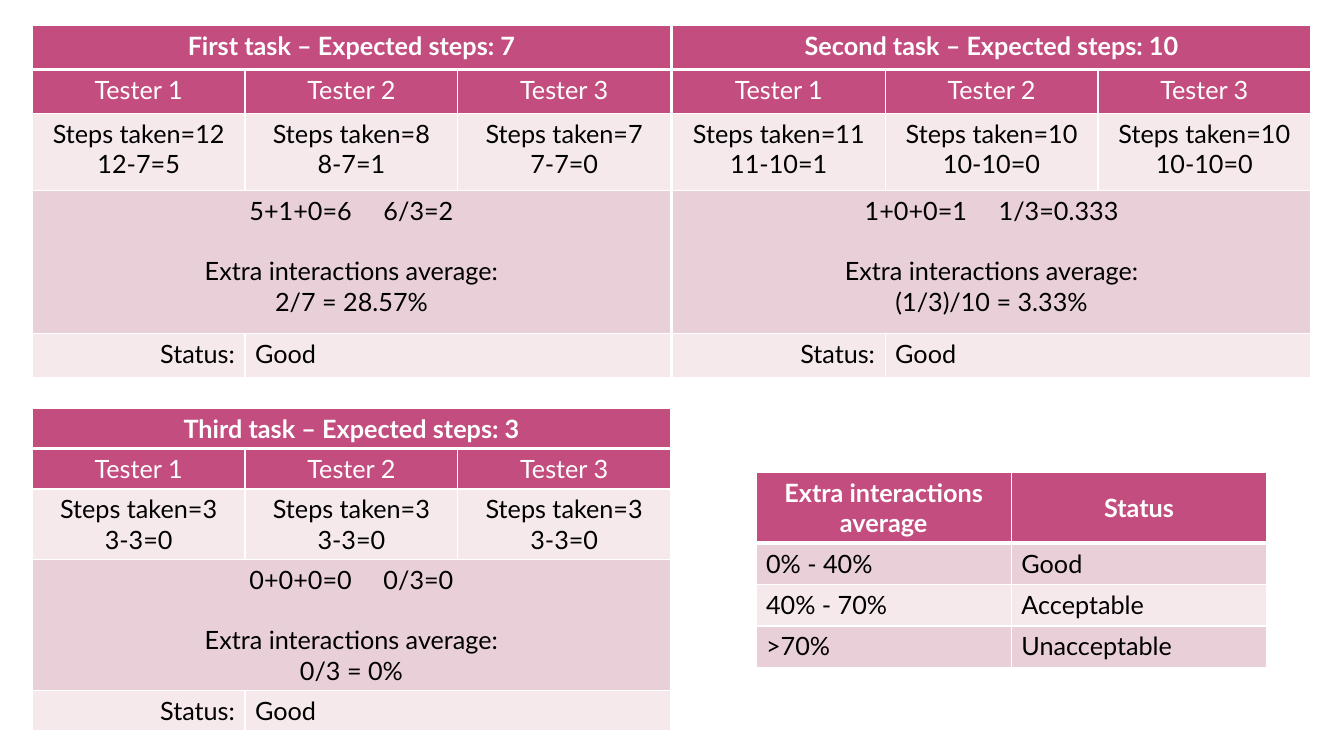
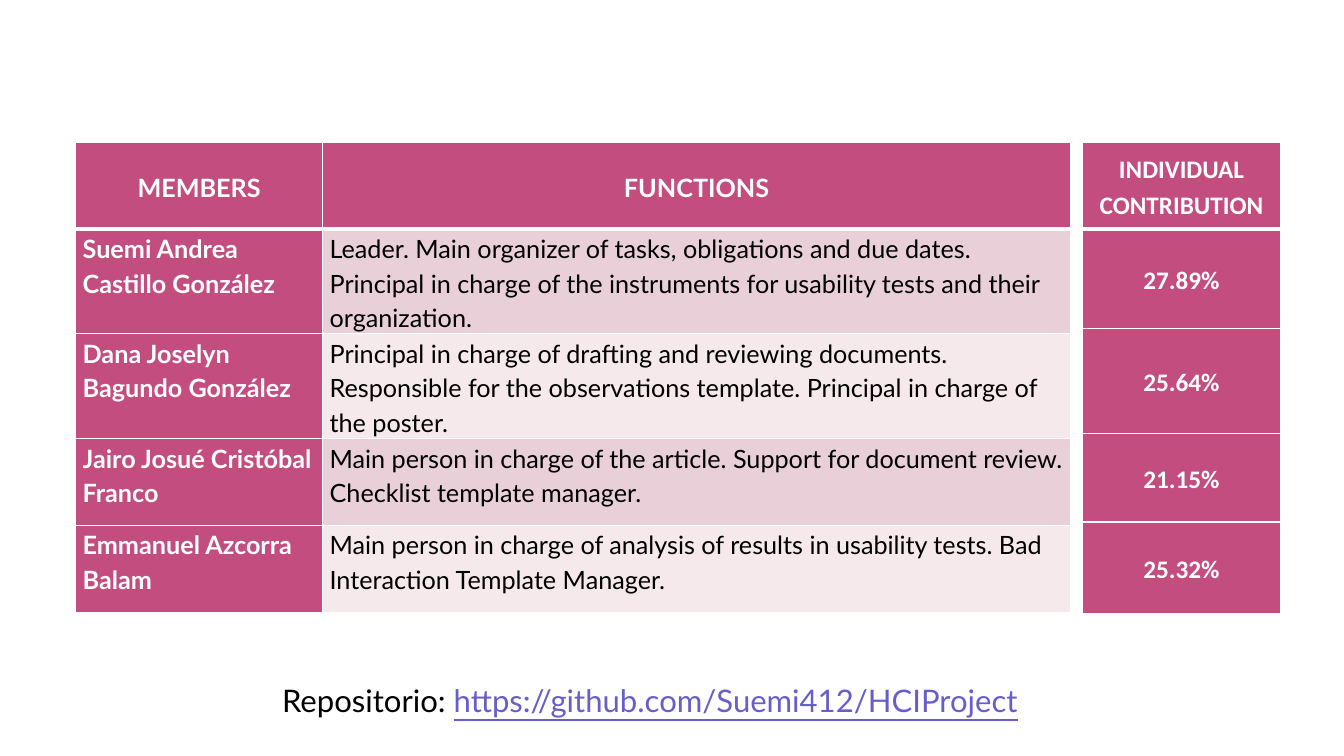
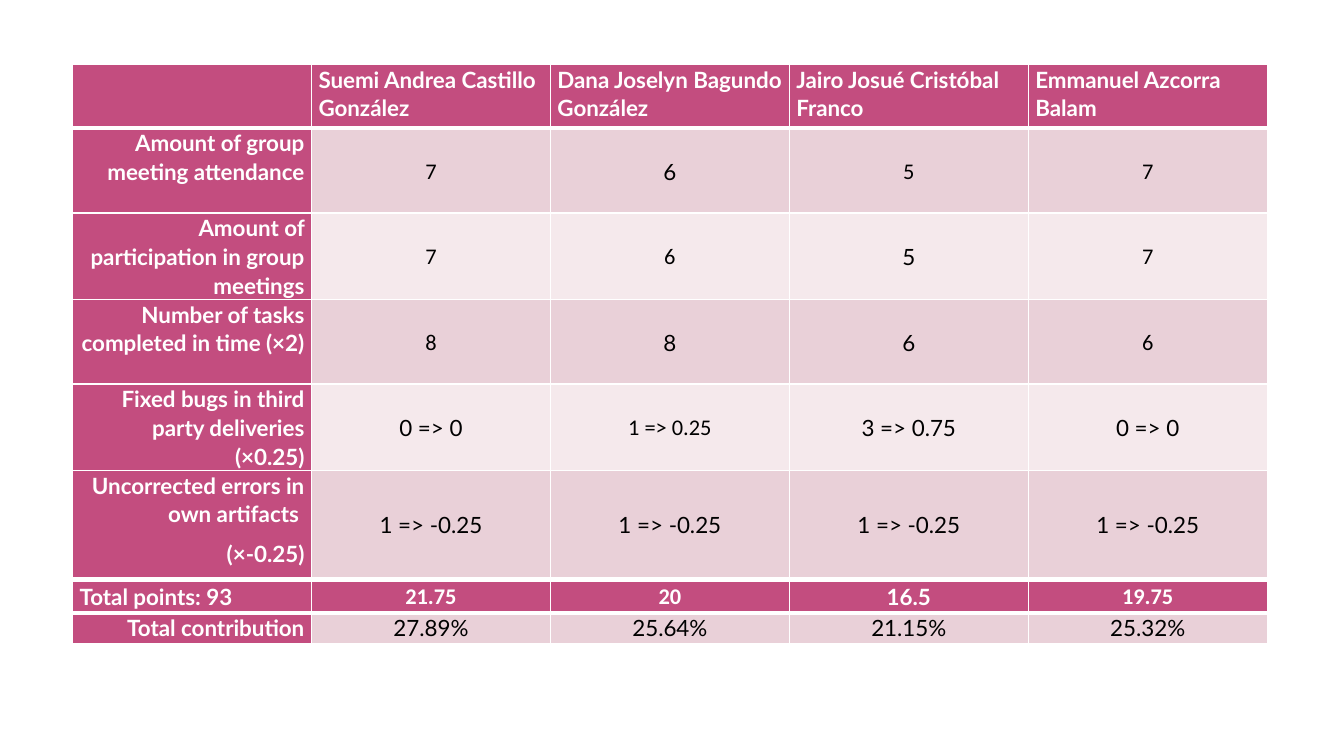
from dataclasses import dataclass

from lxml import etree
from pptx import Presentation
from pptx.dml.color import RGBColor
from pptx.enum.text import MSO_ANCHOR, PP_ALIGN
from pptx.oxml.ns import qn
from pptx.util import Inches, Pt

LEFT, CENTER, RIGHT = PP_ALIGN.LEFT, PP_ALIGN.CENTER, PP_ALIGN.RIGHT
TOP, MIDDLE = MSO_ANCHOR.TOP, MSO_ANCHOR.MIDDLE
BLANK_LAYOUT = 6


@dataclass(frozen=True)
class Theme:
    width: float = 13.33
    height: float = 7.5
    accent: str = "C34D7F"
    dark_band: str = "E9D0D8"
    light_band: str = "F5E9EC"
    white: str = "FFFFFF"
    black: str = "000000"
    link: str = "665FC9"
    font: str = "Lato"
    number_font: str = "Calibri"
    table_size: float = 18
    points_size: float = 16
    link_size: float = 22.2
    rule: float = 1
    heavy_rule: float = 3
    blank_line: float = 21.6
    formula_gap: int = 18


THEME = Theme()

# Cell looks
BASE = {"align": LEFT, "anchor": TOP, "font": THEME.font, "size": THEME.table_size,
        "bold": False, "color": THEME.black, "margins": (0.1, 0.05), "paragraph": {}, "before": {}}
LABEL = {**BASE, "fill": THEME.accent, "color": THEME.white, "bold": True}
HEADER = {**LABEL, "align": CENTER, "anchor": MIDDLE}
TESTER = {**HEADER, "bold": False, "anchor": TOP}
DARK = {**BASE, "fill": THEME.dark_band}
LIGHT = {**BASE, "fill": THEME.light_band}
BANDS = (DARK, LIGHT)
CENTERED = {"align": CENTER}
MEMBER_TEXT = {"margins": (0.07, 0), "paragraph": {"line_spacing": 1.15, "space_after": Pt(10)}}
POINTS_TEXT = {"margins": (0.07, 0), "size": THEME.points_size,
               "paragraph": {"line_spacing": 1.07, "space_after": Pt(8)}}
NUMBER_FONTS = {"C": THEME.number_font, "L": THEME.font}

MEMBERS = ("Suemi Andrea Castillo González", "Dana Joselyn Bagundo González",
           "Jairo Josué Cristóbal Franco", "Emmanuel Azcorra Balam")
SHARES = ("27.89%", "25.64%", "21.15%", "25.32%")


def place(box):
    """Turn percentages of the slide into lengths."""
    left, top, width, height = box
    return [Inches(share * side / 100) for share, side in
            ((left, THEME.width), (top, THEME.height), (width, THEME.width), (height, THEME.height))]


def split(total, weights):
    return [int(total * weight / sum(weights)) for weight in weights]


def add_run(paragraph, text, look):
    run = paragraph.add_run()
    run.text = text
    for name in ("size", "bold", "underline"):
        if name in look:
            setattr(run.font, name, Pt(look[name]) if name == "size" else look[name])
    run.font.name = look["font"]
    run.font.color.rgb = RGBColor.from_string(look["color"])
    return run


def write_text(frame, text, look):
    """One paragraph per line; a tab becomes one widened space."""
    for index, line in enumerate(text.split("\n")):
        paragraph = frame.add_paragraph() if index else frame.paragraphs[0]
        paragraph.alignment = look["align"]
        for name, value in look["paragraph"].items():
            setattr(paragraph, name, value)
        if index in look["before"]:
            paragraph.space_before = Pt(look["before"][index])
        for position, part in enumerate(line.split("\t")):
            if position:
                space = add_run(paragraph, " ", look)
                space._r.get_or_add_rPr().set("spc", str(THEME.formula_gap * 100))
            add_run(paragraph, part, look)


def set_borders(cell, row):
    widths = {"L": THEME.rule, "R": THEME.rule,
              "T": THEME.heavy_rule if row == 1 else THEME.rule,
              "B": THEME.heavy_rule if row == 0 else THEME.rule}
    properties = cell._tc.get_or_add_tcPr()
    for side, width in widths.items():
        line = etree.SubElement(properties, qn(f"a:ln{side}"), w=str(Pt(width)))
        fill = etree.SubElement(line, qn("a:solidFill"))
        etree.SubElement(fill, qn("a:srgbClr"), val=THEME.white)


def add_grid(slide, box, column_weights, row_weights, cells):
    """Cells are (text, look) pairs; None extends the cell on its left."""
    left, top, width, height = place(box)
    table = slide.shapes.add_table(len(row_weights), len(column_weights),
                                   left, top, width, height).table
    for column, size in zip(table.columns, split(width, column_weights)):
        column.width = size
    for row, size in zip(table.rows, split(height, row_weights)):
        row.height = size
    for row_index, row in enumerate(cells):
        look = None
        for column_index, content in enumerate(row):
            cell = table.cell(row_index, column_index)
            set_borders(cell, row_index)
            if content:
                text, look = content
                origin = cell
                across, down = (Inches(margin) for margin in look["margins"])
                cell.margin_left = cell.margin_right = across
                cell.margin_top = cell.margin_bottom = down
                cell.vertical_anchor = look["anchor"]
                if text:
                    write_text(cell.text_frame, text, look)
            elif column_index + 1 == len(row) or row[column_index + 1]:
                origin.merge(cell)
            cell.fill.solid()
            cell.fill.fore_color.rgb = RGBColor.from_string(look["fill"])


def add_task(slide, box, title, steps, sums, average):
    """Step counts of the three testers for one task."""
    summary = {**DARK, **CENTERED, "before": {1: THEME.blank_line}}
    add_grid(slide, box, (1, 1, 1), (0.44, 0.44, 0.76, 1.42, 0.44), [
        [(title, {**HEADER, "anchor": TOP}), None, None],
        [(f"Tester {number}", TESTER) for number in (1, 2, 3)],
        [(f"Steps taken={taken}\n{extra}", {**LIGHT, **CENTERED}) for taken, extra in steps],
        [(f"{sums}\nExtra interactions average:\n{average}", summary), None, None],
        [("Status:", {**LIGHT, "align": RIGHT}), ("Good", LIGHT), None],
    ])


def add_status_scale(slide, box):
    levels = (("0% - 40%", "Good"), ("40% - 70%", "Acceptable"), (">70%", "Unacceptable"))
    cells = [[("Extra interactions average", HEADER), ("Status", HEADER)]]
    for index, level in enumerate(levels):
        cells.append([(text, BANDS[index % 2]) for text in level])
    add_grid(slide, box, (1, 1), (0.69, 0.41, 0.41, 0.41), cells)


def build_tasks_slide(slide):
    add_task(slide, (2.4, 3.33, 47.5, 46.67), "First task – Expected steps: 7",
             (("12", "12-7=5"), ("8", "8-7=1"), ("7", "7-7=0")),
             "5+1+0=6\t6/3=2", "2/7 = 28.57%")
    add_task(slide, (50.03, 3.33, 47.5, 46.67), "Second task – Expected steps: 10",
             (("11", "11-10=1"), ("10", "10-10=0"), ("10", "10-10=0")),
             "1+0+0=1\t1/3=0.333", "(1/3)/10 = 3.33%")
    add_task(slide, (2.4, 54, 47.5, 42.4), "Third task – Expected steps: 3",
             (("3", "3-3=0"),) * 3, "0+0+0=0\t0/3=0", "0/3 = 0%")
    add_status_scale(slide, (56.25, 62.53, 38, 25.6))


def add_functions(slide, box):
    functions = (
        "Leader. Main organizer of tasks, obligations and due dates. Principal in charge of "
        "the instruments for usability tests and their organization.",
        "Principal in charge of drafting and reviewing documents. Responsible for the "
        "observations template. Principal in charge of the poster.",
        "Main person in charge of the article. Support for document review. "
        "Checklist template manager.",
        "Main person in charge of analysis of results in usability tests. "
        "Bad Interaction Template Manager.",
    )
    header = {**HEADER, **MEMBER_TEXT}
    cells = [[("MEMBERS", header), ("FUNCTIONS", header)]]
    for index, (member, function) in enumerate(zip(MEMBERS, functions)):
        cells.append([(member, {**LABEL, **MEMBER_TEXT}),
                      (function, {**BANDS[index % 2], **MEMBER_TEXT})])
    add_grid(slide, box, (2.45, 7.42), (0.86, 1.04, 1.04, 0.86, 0.86), cells)


def add_contributions(slide, box):
    look = {**HEADER, **MEMBER_TEXT, "font": THEME.number_font}
    cells = [[(text, look)] for text in ("INDIVIDUAL CONTRIBUTION", *SHARES)]
    add_grid(slide, box, (1,), (0.86, 0.99, 1.04, 0.88, 0.91), cells)


def add_repository(slide, box):
    frame = slide.shapes.add_textbox(*place(box)).text_frame
    frame.word_wrap = True
    paragraph = frame.paragraphs[0]
    paragraph.line_spacing = 1.1
    look = {**BASE, "size": THEME.link_size}
    add_run(paragraph, "Repositorio: ", look)
    add_run(paragraph, "https://github.com/Suemi412/HCIProject",
            {**look, "color": THEME.link, "underline": True})


def build_members_slide(slide):
    add_functions(slide, (5.63, 18.8, 74.03, 62.2))
    add_contributions(slide, (80.56, 18.8, 14.7, 62.4))
    add_repository(slide, (20.25, 88.93, 59.4, 9.07))


def number_cells(values, fonts, look):
    return [(value, {**look, **POINTS_TEXT, **CENTERED, "font": NUMBER_FONTS[font]})
            for value, font in zip(values, fonts)]


def add_points(slide, box):
    criteria = (
        ("Amount of group meeting attendance", ("7", "6", "5", "7"), "CLCC"),
        ("Amount of participation in group meetings", ("7", "6", "5", "7"), "CCLC"),
        ("Number of tasks completed in time (×2)", ("8", "8", "6", "6"), "CLLC"),
        ("Fixed bugs in third party deliveries (×0.25)",
         ("0 => 0", "1 => 0.25", "3 => 0.75", "0 => 0"), "LCLL"),
        ("Uncorrected errors in own artifacts \n(×-0.25)", ("1 => -0.25",) * 4, "LLLL"),
    )
    label = {**LABEL, **POINTS_TEXT}
    cells = [[(text, label) for text in ("", *MEMBERS)]]
    for index, (criterion, values, fonts) in enumerate(criteria):
        band = {**BANDS[index % 2], "anchor": MIDDLE}
        cells.append([(criterion, {**label, "align": RIGHT}), *number_cells(values, fonts, band)])
    add_grid(slide, box, (1,) * 5, (0.63, 0.84, 0.84, 0.84, 0.84, 1.06), cells)


def add_totals(slide, box):
    label = {**LABEL, **POINTS_TEXT}
    add_grid(slide, box, (1,) * 5, (1, 1), [
        [("Total points: 93", label),
         *number_cells(("21.75", "20", "16.5", "19.75"), "CCLC", LABEL)],
        [("Total contribution", {**label, "align": RIGHT}), *number_cells(SHARES, "LLLL", DARK)],
    ])


def build_points_slide(slide):
    add_points(slide, (5.4, 8.53, 88.9, 67.47))
    add_totals(slide, (5.4, 76.93, 88.9, 8.27))


def main():
    presentation = Presentation()
    presentation.slide_width = Inches(THEME.width)
    presentation.slide_height = Inches(THEME.height)
    for build in (build_tasks_slide, build_members_slide, build_points_slide):
        build(presentation.slides.add_slide(presentation.slide_layouts[BLANK_LAYOUT]))
    presentation.save("out.pptx")


if __name__ == "__main__":
    main()
